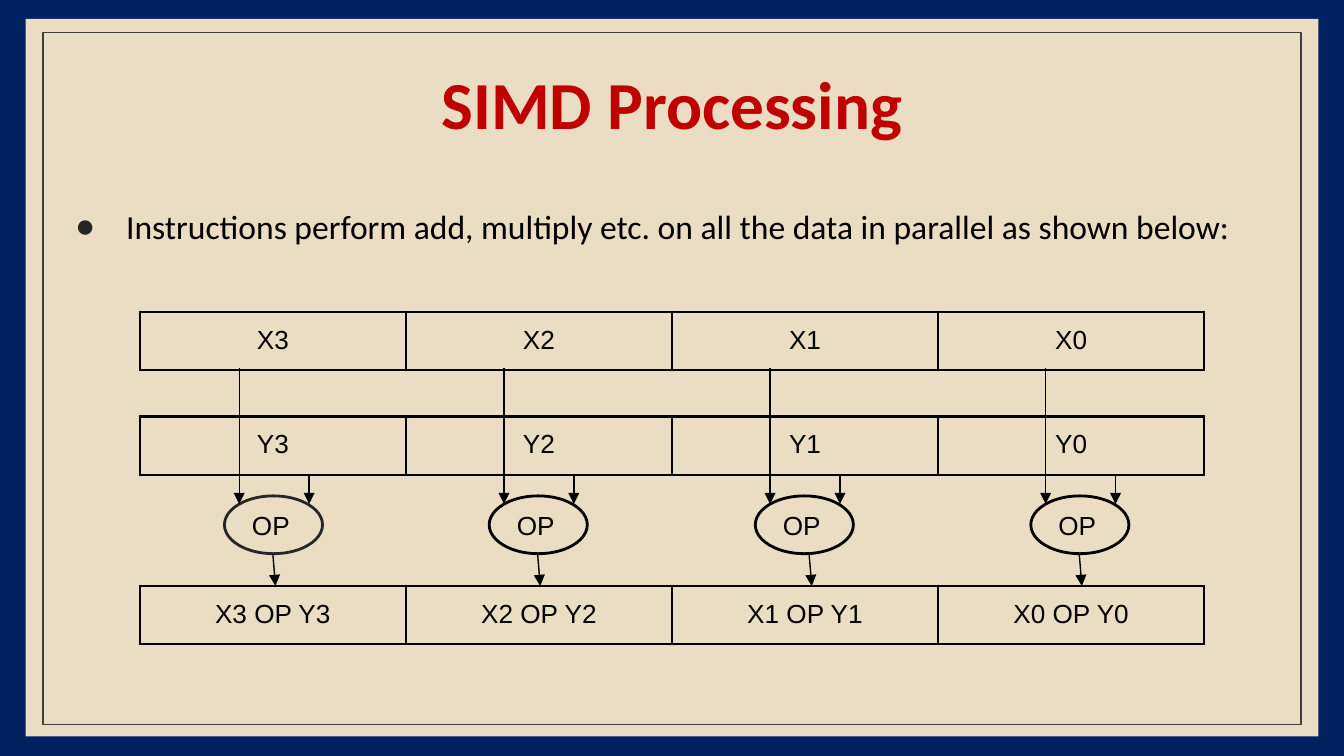
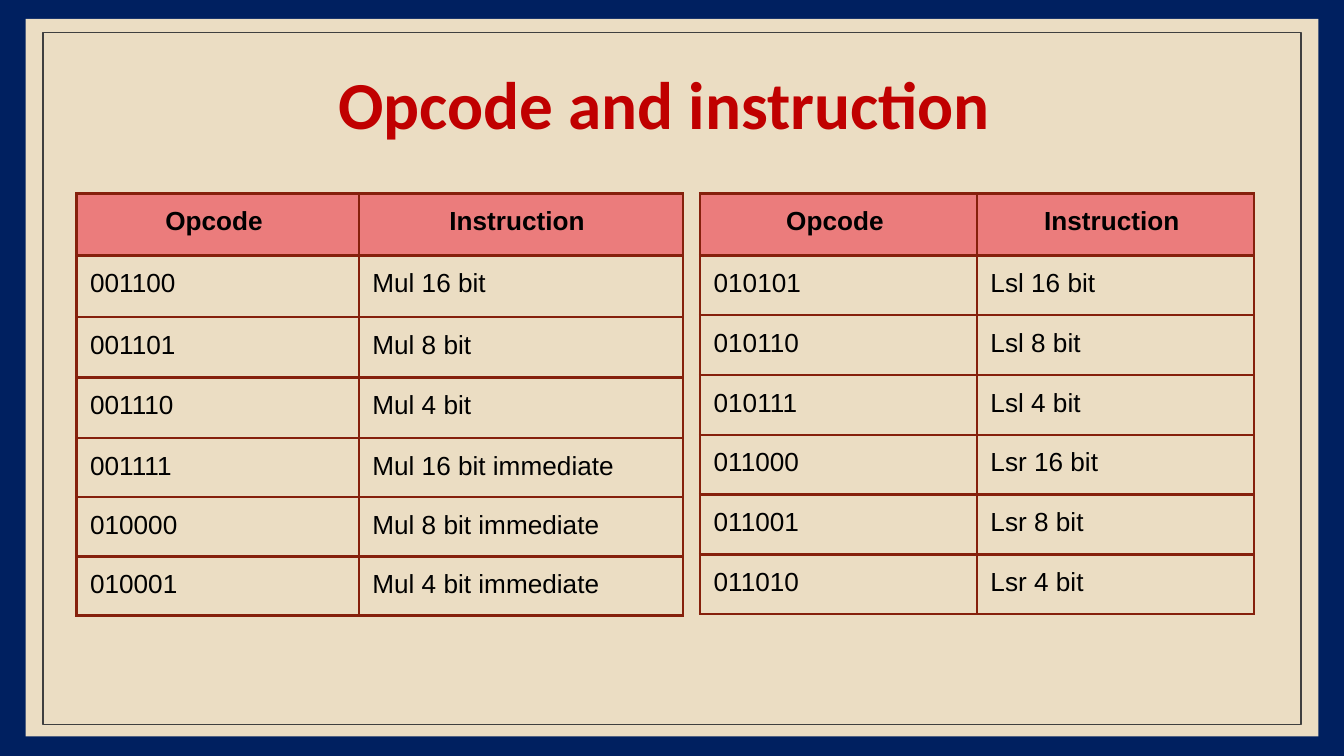
from dataclasses import dataclass

from lxml.etree import SubElement
from pptx import Presentation
from pptx.dml.color import RGBColor
from pptx.enum.shapes import MSO_CONNECTOR, MSO_SHAPE
from pptx.enum.text import MSO_ANCHOR, PP_ALIGN
from pptx.oxml.ns import qn
from pptx.util import Inches, Pt


@dataclass(frozen=True)
class Theme:
    navy: str = "002060"
    sand: str = "EBDDC3"
    frame: str = "3F3F3F"
    charcoal: str = "262626"
    black: str = "000000"
    red: str = "C00000"
    brown: str = "85200C"
    pink: str = "EB7C7C"
    heading_font: str = "Calibri"
    label_font: str = "Arial"
    title_size: int = 36
    body_size: int = 18
    label_size: int = 14
    thin: float = 0.75
    thick: float = 1.5


def rgb(color):
    return RGBColor.from_string(color)


class Deck:
    def __init__(self, theme):
        self.theme = theme
        self.presentation = Presentation()
        self.presentation.slide_width = Inches(10)
        self.presentation.slide_height = Inches(10 * 9 / 16)
        self.slide = None

    # Shared slide frame and title
    def add_slide(self, title):
        theme = self.theme
        self.slide = self.presentation.slides.add_slide(self.presentation.slide_layouts[6])
        background = self.slide.background.fill
        background.solid()
        background.fore_color.rgb = rgb(theme.navy)
        self.add_shape(MSO_SHAPE.RECTANGLE, (0.19, 0.14, 9.62, 5.34), fill=theme.sand)
        self.add_shape(MSO_SHAPE.RECTANGLE, (0.32, 0.24, 9.36, 5.15), line=theme.frame)
        paragraph = self.add_text((0.34, 0.49, 9.32, 0.63), title, theme.title_size,
                                  theme.red, bold=True, anchor=MSO_ANCHOR.MIDDLE)
        paragraph.alignment = PP_ALIGN.CENTER
        paragraph.line_spacing = 0.9

    # Text
    def format_text(self, paragraph, font, size, color, bold=False):
        for run in paragraph.runs:
            run.font.name = font
            run.font.size = Pt(size)
            run.font.bold = bold
            run.font.color.rgb = rgb(color)

    def add_text(self, box, text, size, color, bold=False, anchor=MSO_ANCHOR.TOP):
        text_frame = self.slide.shapes.add_textbox(*map(Inches, box)).text_frame
        text_frame.word_wrap = True
        text_frame.vertical_anchor = anchor
        text_frame.text = text
        paragraph = text_frame.paragraphs[0]
        self.format_text(paragraph, self.theme.heading_font, size, color, bold)
        return paragraph

    def add_bullet(self, box, text):
        paragraph = self.add_text(box, text, self.theme.body_size, self.theme.black)
        paragraph.space_before = Pt(9)
        properties = paragraph._p.get_or_add_pPr()
        properties.set("marL", str(Inches(0.5)))
        properties.set("indent", str(Inches(-0.38)))
        bullet_color = SubElement(properties, qn("a:buClr"))
        SubElement(bullet_color, qn("a:srgbClr"), val=self.theme.charcoal)
        SubElement(properties, qn("a:buFont"), typeface=self.theme.label_font)
        SubElement(properties, qn("a:buChar"), char="●")

    # Shapes and arrows
    def add_shape(self, kind, box, fill=None, line=None, width=Theme.thin):
        shape = self.slide.shapes.add_shape(kind, *map(Inches, box))
        shape.shadow.inherit = False
        if fill:
            shape.fill.solid()
            shape.fill.fore_color.rgb = rgb(fill)
        else:
            shape.fill.background()
        if line:
            shape.line.color.rgb = rgb(line)
            shape.line.width = Pt(width)
        else:
            shape.line.fill.background()
        return shape

    def add_operator(self, box, line):
        theme = self.theme
        shape = self.add_shape(MSO_SHAPE.OVAL, box, theme.sand, line, theme.thick)
        text_frame = shape.text_frame
        text_frame.margin_left = text_frame.margin_right = Inches(0.1)
        text_frame.margin_top = text_frame.margin_bottom = Inches(0.1)
        text_frame.vertical_anchor = MSO_ANCHOR.MIDDLE
        text_frame.text = "OP"
        paragraph = text_frame.paragraphs[0]
        paragraph.alignment = PP_ALIGN.LEFT
        self.format_text(paragraph, theme.label_font, theme.label_size, theme.black)

    def add_arrow(self, start, end):
        connector = self.slide.shapes.add_connector(
            MSO_CONNECTOR.STRAIGHT, *map(Inches, start + end))
        connector.line.color.rgb = rgb(self.theme.black)
        connector.line.width = Pt(self.theme.thin)
        SubElement(connector.line._get_or_add_ln(), qn("a:tailEnd"), type="triangle")
        SubElement(connector._element.spPr, qn("a:effectLst"))

    # Tables
    def add_borders(self, cell, color):
        properties = cell._tc.get_or_add_tcPr()
        for side in ("lnL", "lnR", "lnT", "lnB"):
            border = SubElement(properties, qn(f"a:{side}"), w=str(Pt(self.theme.thick)))
            fill = SubElement(border, qn("a:solidFill"))
            SubElement(fill, qn("a:srgbClr"), val=color)

    def add_table(self, position, widths, heights, rows, border, header=False, centered=False):
        theme = self.theme
        table = self.slide.shapes.add_table(
            len(rows), len(widths), *map(Inches, position),
            Inches(sum(widths)), Inches(sum(heights))).table
        table.first_row = table.horz_banding = False
        for column, width in zip(table.columns, widths):
            column.width = Inches(width)
        for row_index, (row, height, texts) in enumerate(zip(table.rows, heights, rows)):
            row.height = Inches(height)
            is_header = header and row_index == 0
            for cell, text in zip(row.cells, texts):
                cell.margin_left = cell.margin_right = Inches(0.1)
                cell.margin_top = cell.margin_bottom = Inches(0.1)
                self.add_borders(cell, border)
                if is_header:
                    cell.fill.solid()
                    cell.fill.fore_color.rgb = rgb(theme.pink)
                else:
                    cell.fill.background()
                cell.text_frame.text = text
                paragraph = cell.text_frame.paragraphs[0]
                if is_header or centered:
                    paragraph.alignment = PP_ALIGN.CENTER
                self.format_text(paragraph, theme.label_font, theme.label_size,
                                 theme.black, is_header)


def build_simd_slide(deck):
    theme = deck.theme
    deck.add_slide("SIMD Processing")
    deck.add_bullet((0.34, 1.48, 9.32, 3.5),
                    "Instructions perform add, multiply etc. on all the data in parallel "
                    "as shown below:")

    # Operand and result registers
    for top, pattern in ((2.32, "X{0}"), (3.1, "Y{0}"), (4.36, "X{0} OP Y{0}")):
        labels = [pattern.format(lane) for lane in (3, 2, 1, 0)]
        deck.add_table((1.04, top), [1.98] * 4, [0.42], [labels], theme.black, centered=True)

    # Operators: left edge, start of the result arrow, outline
    operators = (
        (1.67, 2.03, theme.charcoal),
        (3.64, 4.0, theme.black),
        (5.62, 6.02, theme.black),
        (7.67, 8.03, theme.black),
    )
    for left, result, outline in operators:
        deck.add_operator((left, 3.69, 0.73, 0.43), outline)
        x_input, y_input = left + 0.11, left + 0.63
        deck.add_arrow((x_input, 2.74), (x_input, 3.75))
        deck.add_arrow((y_input, 3.54), (y_input, 3.75))
        deck.add_arrow((result, 4.12), (result + 0.02, 4.36))


def build_opcode_slide(deck):
    deck.add_slide("Opcode and instruction ")
    header = ("Opcode ", "Instruction ")
    multiply_rows = [
        header,
        ("001100", "Mul 16 bit"),
        ("001101", "Mul 8 bit"),
        ("001110", "Mul 4 bit"),
        ("001111", "Mul 16 bit immediate"),
        ("010000", "Mul 8 bit immediate"),
        ("010001", "Mul 4 bit immediate"),
    ]
    shift_rows = [
        header,
        ("010101", "Lsl 16 bit"),
        ("010110", "Lsl 8 bit"),
        ("010111", "Lsl 4 bit"),
        ("011000", "Lsr 16 bit"),
        ("011001", "Lsr 8 bit"),
        ("011010", "Lsr 4 bit"),
    ]
    table_height, header_height = 3.13, 0.46
    shift_height = (table_height - header_height) / (len(shift_rows) - 1)
    tables = (
        (0.57, (2.1, 2.41), [0.46] * 2 + [0.45] * 2 + [0.44] * 3, multiply_rows),
        (5.21, (2.06, 2.06), [header_height] + [shift_height] * 6, shift_rows),
    )
    for left, widths, heights, rows in tables:
        deck.add_table((left, 1.44), widths, heights, rows, deck.theme.brown, header=True)


def main():
    deck = Deck(Theme())
    build_simd_slide(deck)
    build_opcode_slide(deck)
    deck.presentation.save("out.pptx")


if __name__ == "__main__":
    main()
